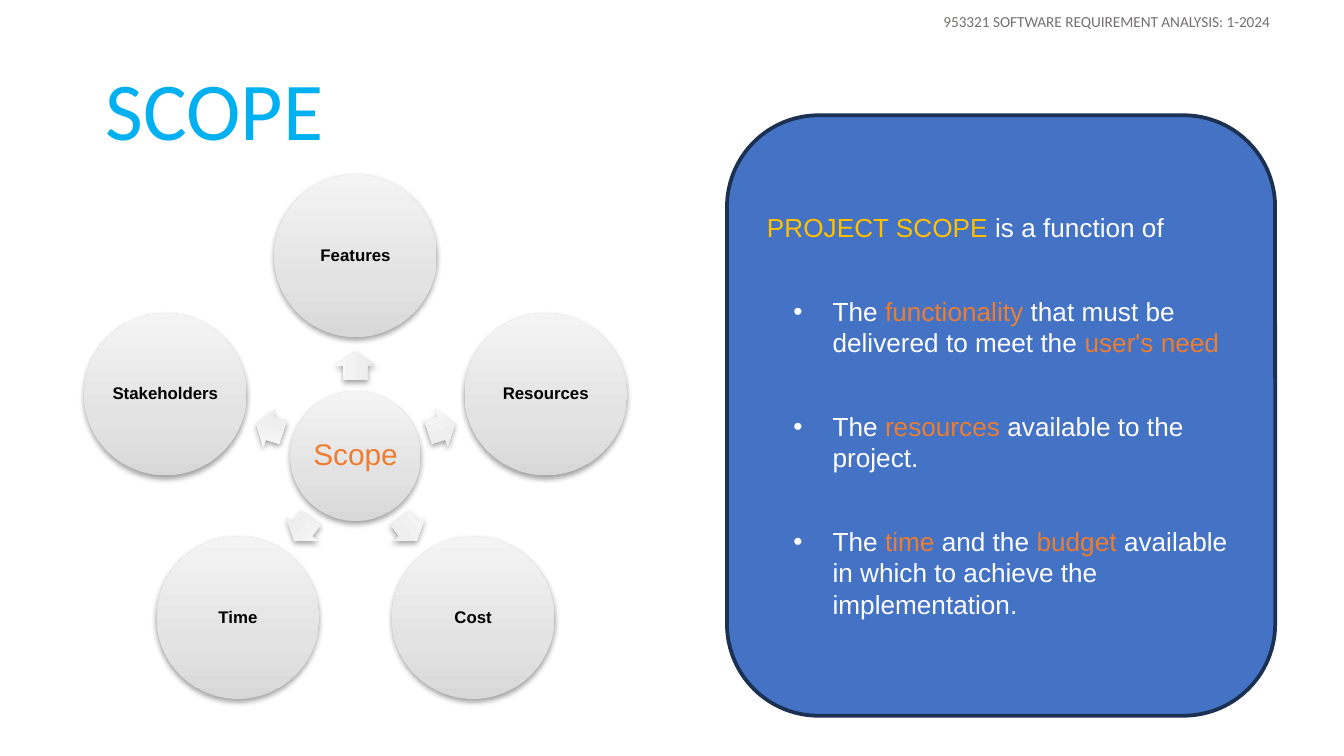
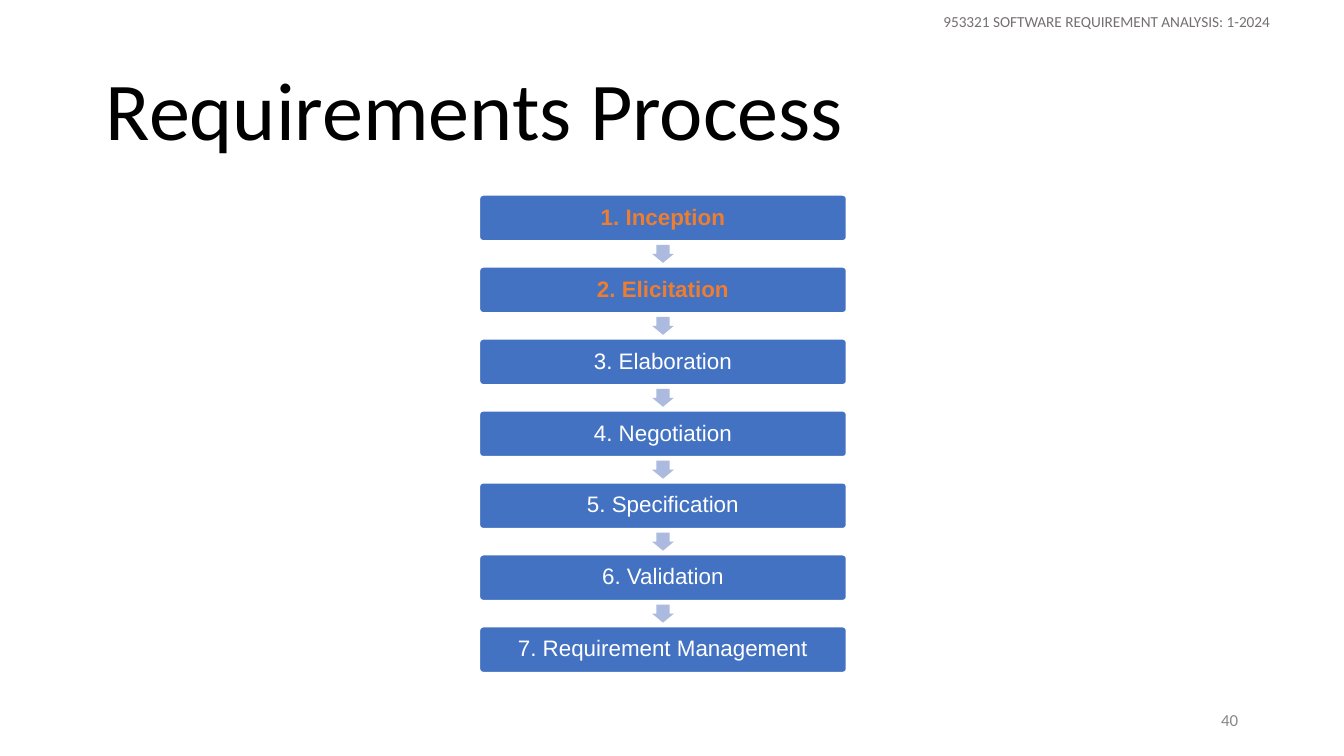
from dataclasses import dataclass
from math import cos, radians, sin

from lxml.etree import SubElement
from pptx import Presentation
from pptx.dml.color import RGBColor
from pptx.enum.shapes import MSO_SHAPE
from pptx.enum.text import MSO_ANCHOR, MSO_AUTO_SIZE, PP_ALIGN
from pptx.oxml.ns import qn
from pptx.shapes.autoshape import Shape
from pptx.slide import Slide
from pptx.util import Cm, Pt

COLORS = {
    "black": "000000",
    "white": "FFFFFF",
    "header": "757070",
    "page": "888888",
    "sky": "00B0F0",
    "orange": "ED7D31",
    "gold": "FFC000",
    "panel": "4472C4",
    "panel_edge": "1C3052",
    "step": "4372C3",
    "step_arrow": "ABBADE",
}
CIRCLE_GRADIENT = ((0, "D8D8D8"), (35, "E3E3E3"), (100, "F4F4F4"))
ARROW_GRADIENT = ((0, "E8E8E8"), (35, "EFEFEF"), (100, "F9F9F9"))
HEADER = "953321 SOFTWARE REQUIREMENT ANALYSIS: 1-2024"
TITLE_ONLY = 5


@dataclass(frozen=True)
class TextStyle:
    size: float
    color: str
    font: str = "Arial"
    bold: bool = False
    align: PP_ALIGN = PP_ALIGN.CENTER
    line_spacing: float = 0.9


@dataclass(frozen=True)
class Box:
    """A rectangle in centimetres."""
    left: float
    top: float
    width: float
    height: float


@dataclass(frozen=True)
class Segment:
    text: str
    color: str = "white"


@dataclass(frozen=True)
class Step:
    text: str
    current: bool = False


HUB_STYLE = TextStyle(16, "orange")
FACTOR_STYLE = TextStyle(9, "black", bold=True)
STEP_STYLE = TextStyle(12, "white")
CURRENT_STEP_STYLE = TextStyle(12, "orange", bold=True)
HEADER_STYLE = TextStyle(8.2, "header", "Calibri", align=PP_ALIGN.LEFT, line_spacing=1)
PAGE_STYLE = TextStyle(9, "page", "Calibri", align=PP_ALIGN.RIGHT, line_spacing=1)

FACTORS = ("Features", "Resources", "Cost", "Time", "Stakeholders")
SCOPE_LINES = (
    (Segment("PROJECT SCOPE ", "gold"), Segment("is a function of")),
    (Segment("The "), Segment("functionality", "orange"),
     Segment(" that must be delivered to meet the "), Segment("user's need", "orange")),
    (Segment("The "), Segment("resources", "orange"),
     Segment(" available to the project.")),
    (Segment("The "), Segment("time", "orange"), Segment(" and the "),
     Segment("budget ", "orange"),
     Segment("available in which to achieve the implementation.")),
)
STEPS = (
    Step("1. Inception", True),
    Step("2. Elicitation", True),
    Step("3. Elaboration"),
    Step("4. Negotiation"),
    Step("5. Specification"),
    Step("6. Validation"),
    Step("7. Requirement Management"),
)


def rgb(name: str) -> RGBColor:
    return RGBColor.from_string(COLORS[name])


def centered(x: float, y: float, width: float, height: float) -> Box:
    return Box(x - width / 2, y - height / 2, width, height)


def lengths(box: Box) -> tuple[Cm, Cm, Cm, Cm]:
    return Cm(box.left), Cm(box.top), Cm(box.width), Cm(box.height)


def write(shape: Shape, text: str, style: TextStyle, inset_x: float, inset_y: float,
          anchor: MSO_ANCHOR = MSO_ANCHOR.MIDDLE) -> None:
    """Put one styled paragraph into a shape."""
    frame = shape.text_frame
    frame.text = text
    frame.word_wrap = True
    frame.auto_size = MSO_AUTO_SIZE.NONE
    frame.vertical_anchor = anchor
    frame.margin_left = frame.margin_right = Cm(inset_x)
    frame.margin_top = frame.margin_bottom = Cm(inset_y)
    paragraph = frame.paragraphs[0]
    paragraph.alignment = style.align
    paragraph.line_spacing = style.line_spacing
    font = paragraph.runs[0].font
    font.name, font.size, font.bold = style.font, Pt(style.size), style.bold
    font.color.rgb = rgb(style.color)


def add_plain_shape(slide: Slide, kind: MSO_SHAPE, box: Box) -> Shape:
    shape = slide.shapes.add_shape(kind, *lengths(box))
    shape.shadow.inherit = False
    shape.line.fill.background()
    return shape


def fill_solid(shape: Shape, color: str) -> None:
    shape.fill.solid()
    shape.fill.fore_color.rgb = rgb(color)


def fill_raised(shape: Shape, stops: tuple[tuple[int, str], ...]) -> None:
    """Give a shape an upward gradient and a soft shadow below."""
    shape.fill.gradient()
    shape.fill.gradient_angle = 90
    properties = shape._element.spPr
    stop_list = properties.find(qn("a:gradFill")).find(qn("a:gsLst"))
    for old_stop in list(stop_list):
        stop_list.remove(old_stop)
    for percent, color in stops:
        stop = SubElement(stop_list, qn("a:gs"), pos=str(percent * 1000))
        SubElement(stop, qn("a:srgbClr"), val=color)
    shadow = SubElement(
        properties.find(qn("a:effectLst")), qn("a:outerShdw"),
        blurRad=str(Pt(3.1)), dist=str(Pt(1.6)), dir="5400000", rotWithShape="0")
    shadow_color = SubElement(shadow, qn("a:srgbClr"), val=COLORS["black"])
    SubElement(shadow_color, qn("a:alpha"), val="37000")


def add_arrow(slide: Slide, box: Box, angle: float) -> Shape:
    arrow = add_plain_shape(slide, MSO_SHAPE.RIGHT_ARROW, box)
    arrow.adjustments[0] = 0.6
    arrow.adjustments[1] = 0.5
    arrow.rotation = angle % 360
    return arrow


def add_circle(slide: Slide, x: float, y: float, diameter: float,
               text: str, style: TextStyle) -> None:
    circle = add_plain_shape(slide, MSO_SHAPE.OVAL, centered(x, y, diameter, diameter))
    fill_raised(circle, CIRCLE_GRADIENT)
    write(circle, text, style, 0.03, 0.03)


def add_titled_slide(presentation: Presentation, title: str, color: str) -> Slide:
    slide = presentation.slides.add_slide(presentation.slide_layouts[TITLE_ONLY])
    placeholder = slide.shapes.title
    placeholder.left, placeholder.top, placeholder.width, placeholder.height = lengths(
        Box(1.75, 0.76, 21.9, 2.77))
    write(placeholder, title, TextStyle(44, color, "Calibri", align=PP_ALIGN.LEFT),
          0.25, 0.13)
    header = slide.shapes.add_textbox(*lengths(Box(17.65, 0.13, 6.78, 0.53)))
    write(header, HEADER, HEADER_STYLE, 0.18, 0.1, MSO_ANCHOR.TOP)
    return slide


def add_scope_wheel(slide: Slide) -> None:
    center_x, center_y = 6.72, 8.62
    factor_radius, arrow_radius = 3.78, 1.71
    add_circle(slide, center_x, center_y, 2.46, "Scope", HUB_STYLE)
    for index, factor in enumerate(FACTORS):
        angle = index * 360 / len(FACTORS) - 90
        across, down = cos(radians(angle)), sin(radians(angle))
        arrow = add_arrow(slide, centered(center_x + arrow_radius * across,
                                          center_y + arrow_radius * down, 0.53, 0.76), angle)
        fill_raised(arrow, ARROW_GRADIENT)
        add_circle(slide, center_x + factor_radius * across,
                   center_y + factor_radius * down, 3.07, factor, FACTOR_STYLE)


def add_scope_panel(slide: Slide) -> None:
    panel = add_plain_shape(slide, MSO_SHAPE.ROUNDED_RECTANGLE, Box(13.74, 2.18, 10.36, 11.35))
    panel.adjustments[0] = 0.167
    fill_solid(panel, "panel")
    panel.line.color.rgb = rgb("panel_edge")
    panel.line.width = Pt(2)
    frame = panel.text_frame
    frame.word_wrap = True
    frame.vertical_anchor = MSO_ANCHOR.MIDDLE
    for index, segments in enumerate(SCOPE_LINES):
        paragraph = frame.add_paragraph() if index else frame.paragraphs[0]
        paragraph.alignment = PP_ALIGN.LEFT
        paragraph.line_spacing = Pt(16.8)
        if index:
            paragraph.space_before = Pt(28)
            add_bullet(paragraph)
        for segment in segments:
            run = paragraph.add_run()
            run.text = segment.text
            run.font.name, run.font.size = "Arial", Pt(14)
            run.font.color.rgb = rgb(segment.color)


def add_bullet(paragraph) -> None:
    properties = paragraph._p.get_or_add_pPr()
    properties.set("marL", str(Cm(1.24)))
    properties.set("indent", str(-Cm(0.74)))
    bullet_color = SubElement(properties, qn("a:buClr"))
    SubElement(bullet_color, qn("a:srgbClr"), val=COLORS["white"])
    SubElement(properties, qn("a:buFont"), typeface="Arial")
    SubElement(properties, qn("a:buChar"), char="•")


def add_process(slide: Slide) -> None:
    center_x, first_y, pitch = 12.53, 4.12, 1.36
    for index, step in enumerate(STEPS):
        y = first_y + index * pitch
        bar = add_plain_shape(slide, MSO_SHAPE.ROUNDED_RECTANGLE,
                              centered(center_x, y, 6.98, 0.91))
        bar.adjustments[0] = 0.1
        fill_solid(bar, "step")
        bar.line.color.rgb = rgb("white")
        bar.line.width = Pt(2)
        write(bar, step.text, CURRENT_STEP_STYLE if step.current else STEP_STYLE, 0.13, 0.13)
        if index < len(STEPS) - 1:
            arrow = add_arrow(slide, centered(center_x, y + pitch / 2, 0.34, 0.41), 90)
            fill_solid(arrow, "step_arrow")


def main() -> None:
    presentation = Presentation()
    presentation.slide_width, presentation.slide_height = Cm(25.4), Cm(14.29)

    scope = add_titled_slide(presentation, "SCOPE", "sky")
    add_scope_wheel(scope)
    add_scope_panel(scope)

    process = add_titled_slide(presentation, "Requirements Process", "black")
    add_process(process)
    page_number = process.shapes.add_textbox(*lengths(Box(17.93, 13.23, 5.72, 0.76)))
    write(page_number, "40", PAGE_STYLE, 0.25, 0.13)

    presentation.save("out.pptx")


if __name__ == "__main__":
    main()
